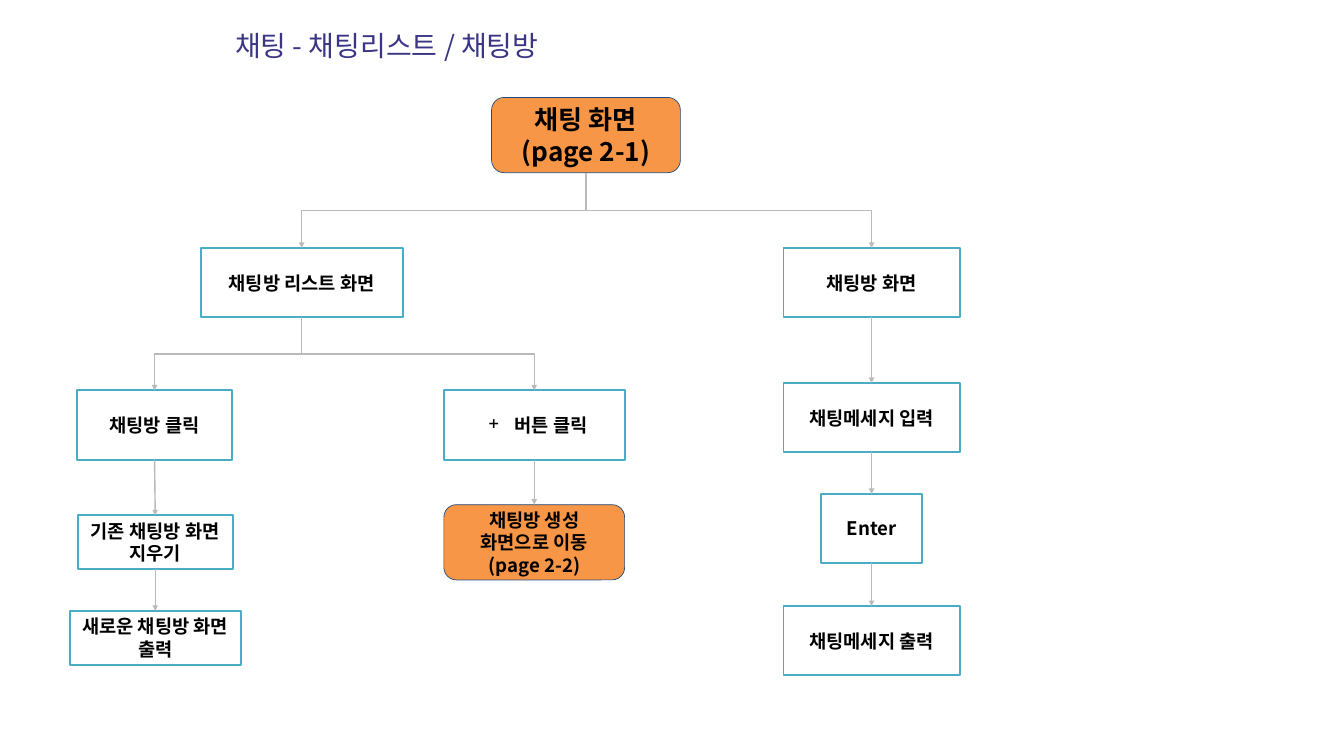
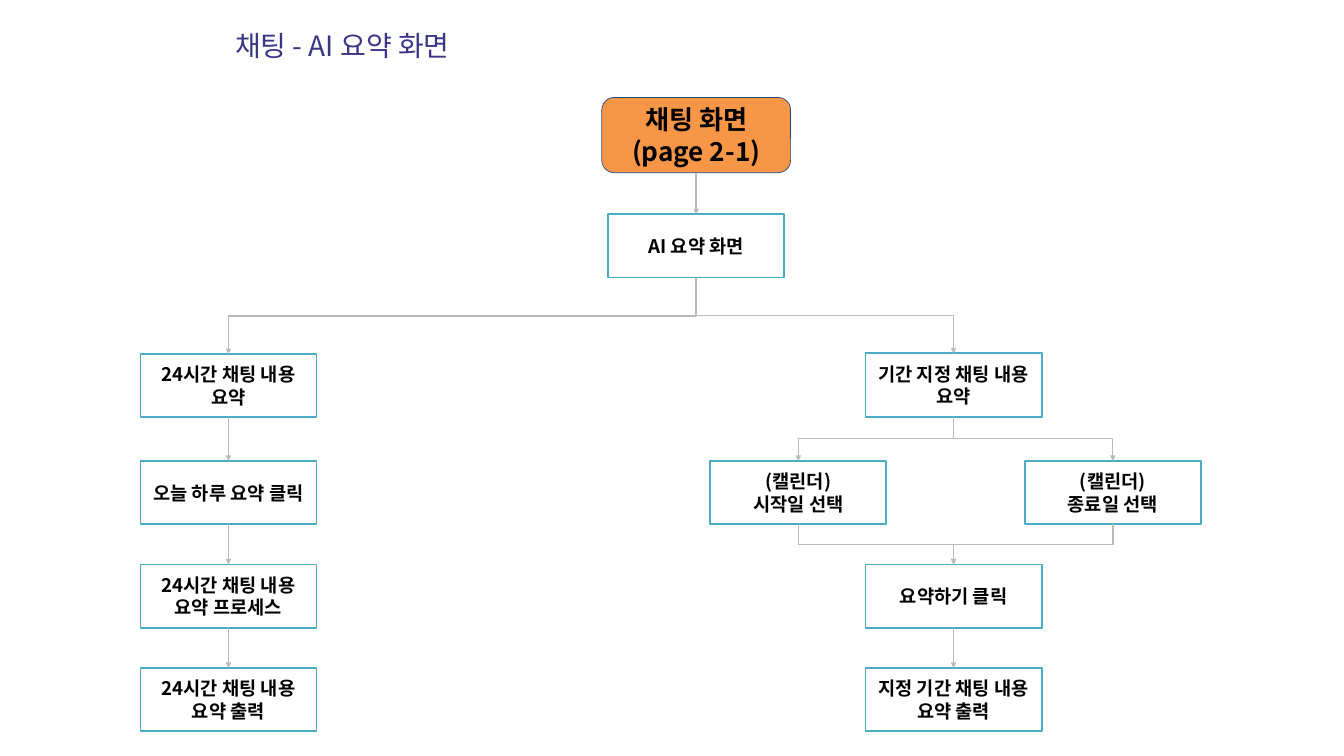
"""Build two chat flow chart slides from lists of steps and links."""
from lxml.etree import SubElement
from pptx import Presentation
from pptx.dml.color import RGBColor
from pptx.enum.shapes import MSO_CONNECTOR as Connector, MSO_SHAPE as Shape
from pptx.enum.text import MSO_ANCHOR as Anchor, PP_ALIGN as Align
from pptx.oxml.ns import qn
from pptx.util import Inches, Pt

FONT = "Noto Sans CJK KR"
COLORS = {"white": "FFFFFF", "black": "000000", "orange": "F79646", "navy": "1F497D",
          "teal": "4BACC6", "gray": "BABABA", "title": "3A3685"}
STYLES = {
    "page": {"shape": Shape.FLOWCHART_ALTERNATE_PROCESS, "fill": "orange", "line": "navy", "width": 0.75},
    "step": {"shape": Shape.FLOWCHART_PROCESS, "fill": "white", "line": "teal", "width": 2},
    "box": {"shape": Shape.RECTANGLE, "fill": "white", "line": "teal", "width": 2},
}
LIST_X, CLICK_X, PLUS_X, ROOM_X = 4.49, 2.3, 7.95, 12.97
SUMMARY_X, DAY_X, PERIOD_X = 10.36, 3.4, 14.19
START_X, END_X = 11.88, 16.56
ROW_2, ROW_3, ROW_4 = 6.86, 8.4, 9.94
WIDE, TALL, LOW, MID, PAGE_WIDTH, PAGE_HEIGHT = 2.62, 1.03, 0.8, 0.94, 2.81, 1.12

# name: style, centre x, top, width, height, size, text
SLIDES = [
    {
        "title": "채팅 - 채팅리스트 / 채팅방",
        "nodes": {
            "chat": ("page", 8.72, 1.45, PAGE_WIDTH, PAGE_HEIGHT, 28, "채팅 화면\n(page 2-1)"),
            "list": ("step", LIST_X, 3.69, 3.01, TALL, 20, "채팅방 리스트 화면"),
            "click": ("step", CLICK_X, 5.81, 2.31, TALL, 20, "채팅방 클릭"),
            "plus": ("step", PLUS_X, 5.81, 2.69, TALL, 20, "버튼 클릭"),
            "clear": ("box", 2.31, 7.67, 2.31, LOW, 20, "기존 채팅방 화면 지우기"),
            "show": ("step", 2.31, 9.09, 2.54, LOW, 20, "새로운 채팅방 화면\n출력"),
            "create": ("page", PLUS_X, 7.51, 2.69, PAGE_HEIGHT, 20,
                       "채팅방 생성\n화면으로 이동\n(page 2-2)"),
            "room": ("step", ROOM_X, 3.69, WIDE, TALL, 20, "채팅방 화면"),
            "input": ("step", ROOM_X, 5.7, WIDE, TALL, 20, "채팅메세지 입력"),
            "enter": ("step", ROOM_X, 7.35, 1.5, TALL, 20, "Enter"),
            "output": ("step", ROOM_X, 9.02, WIDE, TALL, 20, "채팅메세지 출력"),
        },
        "bullets": {"plus": "+"},
        "links": ["chat list click clear show", "list plus create", "chat room input enter output"],
    },
    {
        "title": "채팅 - AI 요약 화면",
        "nodes": {
            "chat": ("page", SUMMARY_X, 1.45, PAGE_WIDTH, PAGE_HEIGHT, 28, "채팅 화면\n(page 2-1)"),
            "summary": ("step", SUMMARY_X, 3.19, WIDE, MID, 20, "AI 요약 화면"),
            "day": ("step", DAY_X, 5.27, WIDE, MID, 20, "24시간 채팅 내용\n요약"),
            "period": ("box", PERIOD_X, 5.26, WIDE, MID, 20, "기간 지정 채팅 내용 요약"),
            "today": ("step", DAY_X, ROW_2, WIDE, MID, 20, "오늘 하루 요약 클릭"),
            "process": ("step", DAY_X, ROW_3, WIDE, MID, 20, "24시간 채팅 내용\n요약 프로세스"),
            "day_output": ("step", DAY_X, ROW_4, WIDE, MID, 20, "24시간 채팅 내용\n요약 출력"),
            "start": ("step", START_X, ROW_2, WIDE, MID, 20, "(캘린더)\n시작일 선택"),
            "end": ("step", END_X, ROW_2, WIDE, MID, 20, "(캘린더)\n종료일 선택"),
            "summarize": ("step", PERIOD_X, ROW_3, WIDE, MID, 20, "요약하기 클릭"),
            "period_output": ("step", PERIOD_X, ROW_4, WIDE, MID, 20, "지정 기간 채팅 내용 요약 출력"),
        },
        "bullets": {},
        "links": ["chat summary day today process day_output",
                  "summary period start summarize period_output", "period end summarize"],
    },
]


def color(name):
    return RGBColor.from_string(COLORS[name])


def set_text(shape, text, inset, bullet=None, align=None, **formats):
    frame = shape.text_frame
    frame.word_wrap = True
    for side in ("left", "top", "right", "bottom"):
        setattr(frame, f"margin_{side}", Inches(inset))
    frame.text = text
    for paragraph in frame.paragraphs:
        paragraph.alignment = align
        if bullet:
            add_bullet(paragraph, bullet)
        for run in paragraph.runs:
            run.font.fill.solid()
            run.font.fill.fore_color.rgb = color(formats["color"])
            for name, value in {"name": FONT, "size": Pt(formats["size"]), "bold": formats["bold"]}.items():
                setattr(run.font, name, value)
            SubElement(run.font._element, qn("a:ea"), typeface=FONT)


def add_bullet(paragraph, mark):
    properties = paragraph._p.get_or_add_pPr()
    properties.set("marL", str(Inches(0.5)))
    properties.set("indent", str(Inches(-0.39)))
    bullet_color = SubElement(properties, qn("a:buClr"))
    SubElement(bullet_color, qn("a:srgbClr"), val=COLORS["black"])
    SubElement(properties, qn("a:buChar"), char=mark)


def add_filled(slide, kind, left, top, width, height, fill):
    shape = slide.shapes.add_shape(kind, *map(Inches, (left, top, width, height)))
    shape.shadow.inherit = False
    shape.fill.solid()
    shape.fill.fore_color.rgb = color(fill)
    return shape


def add_node(slide, node, bullet):
    kind, center, top, width, height, size, text = node
    style = STYLES[kind]
    shape = add_filled(slide, style["shape"], center - width / 2, top, width, height, style["fill"])
    shape.line.color.rgb = color(style["line"])
    shape.line.width = Pt(style["width"])
    shape.text_frame.vertical_anchor = Anchor.MIDDLE
    set_text(shape, text, 0.1, bullet, Align.CENTER, size=size, color="black", bold=True)
    return shape


def add_link(slide, source, target):
    start_x, end_x = (shape.left + shape.width // 2 for shape in (source, target))
    start_y, end_y = source.top + source.height, target.top
    across, down = abs(end_x - start_x), end_y - start_y
    bent = across > Inches(0.1)
    link = slide.shapes.add_connector(Connector.ELBOW if bent else Connector.STRAIGHT, 0, 0, 0, 0)
    link.begin_connect(source, 2)
    link.end_connect(target, 0)
    if bent:
        link.left = (start_x + end_x - down) // 2
        link.top = (start_y + end_y - across) // 2
        link.width, link.height = down, across
        rightward = end_x > start_x
        transform = link._element.spPr.find(qn("a:xfrm"))
        transform.set("rot", str((270 if rightward else 90) * 60000))
        transform.set("flipH", str(int(rightward)))
    link.line.color.rgb = color("gray")
    link.line.width = Pt(1.5)
    SubElement(link.line._get_or_add_ln(), qn("a:tailEnd"), type="triangle")
    SubElement(link._element.spPr, qn("a:effectLst"))


def add_title(slide, title):
    band = add_filled(slide, Shape.RECTANGLE, 0, 0.31, 10.77, 0.75, "white")
    band.line.fill.background()
    box = slide.shapes.add_textbox(*map(Inches, (3.5, 0.42, 7.01, 0.44)))
    set_text(box, title, 0, size=30, color="title", bold=False)
    box.text_frame.paragraphs[0].line_spacing = 1.0


def main():
    presentation = Presentation()
    presentation.slide_width, presentation.slide_height = Inches(20), Inches(11.25)
    for content in SLIDES:
        slide = presentation.slides.add_slide(presentation.slide_layouts[6])
        shapes = {name: add_node(slide, node, content["bullets"].get(name))
                  for name, node in content["nodes"].items()}
        for chain in content["links"]:
            names = chain.split()
            for source, target in zip(names, names[1:]):
                add_link(slide, shapes[source], shapes[target])
        add_title(slide, content["title"])
    presentation.save("out.pptx")


if __name__ == "__main__":
    main()
